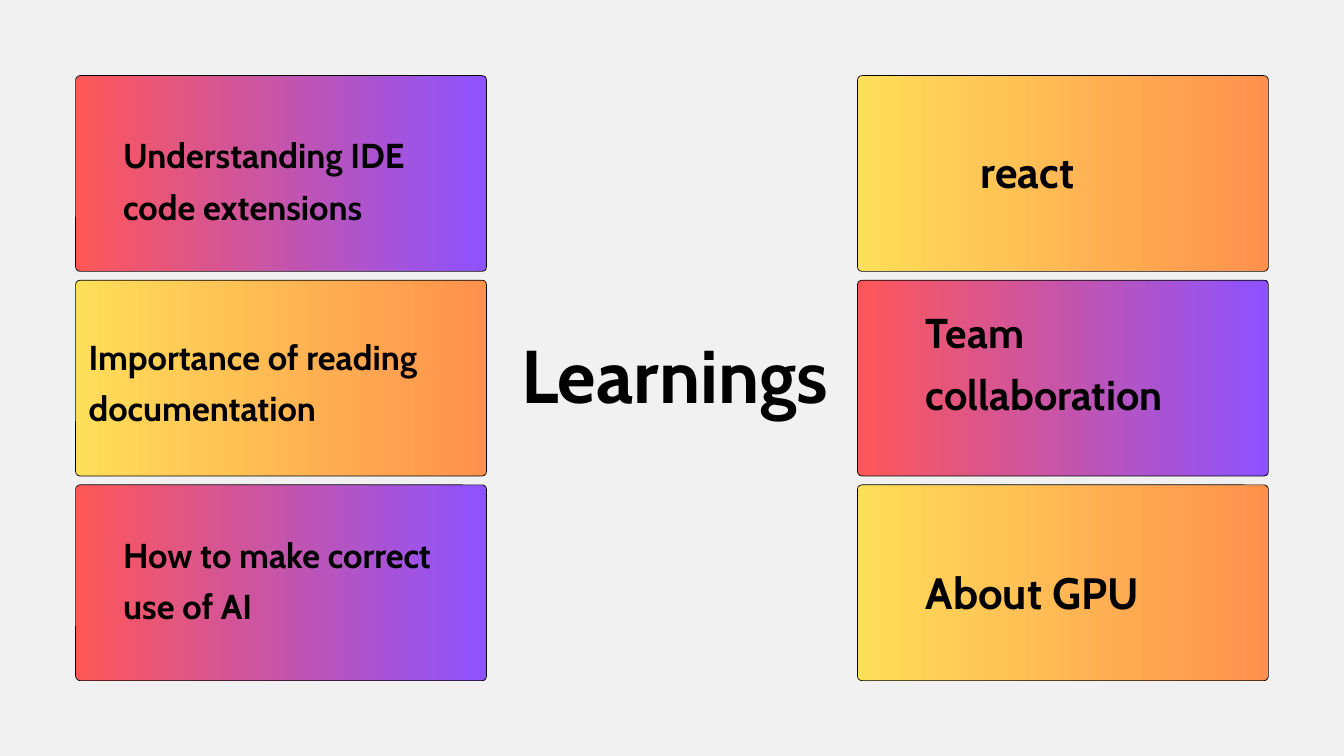
from dataclasses import dataclass

from pptx import Presentation
from pptx.dml.color import RGBColor
from pptx.enum.shapes import MSO_SHAPE as Preset
from pptx.enum.text import MSO_AUTO_SIZE as AutoSize, PP_ALIGN as Align
from pptx.slide import Slide
from pptx.util import Pt

FONT = "Cabin"
BLACK = "000000"
BACKGROUND = "F1F1F1"
WARM = ("FFDE59", "FF914D")
VIVID = ("FF5757", "8C52FF")

SLIDE_WIDTH, SLIDE_HEIGHT = 1440, 810
MARGIN = 81
CARD_WIDTH, CARD_HEIGHT = 440.25, 209.75
ROW_PITCH = 219.25
CORNER_RADIUS = 4.75
LEFT_COLUMN = MARGIN
RIGHT_COLUMN = SLIDE_WIDTH - MARGIN - CARD_WIDTH


@dataclass(frozen=True)
class Label:
    text: str
    left: float
    top: float
    width: float
    height: float
    size: float
    line_spacing: float
    align: Align = Align.LEFT


@dataclass(frozen=True)
class Card:
    column: float
    row: int
    gradient: tuple[str, str]
    label: Label


CARDS = [
    Card(RIGHT_COLUMN, 0, WARM,
         Label("react", 1051, 141, 281, 65.5, 46.8, 69.8)),
    Card(RIGHT_COLUMN, 1, VIVID,
         Label("Team collaboration", 992, 316, 340.5, 129, 44.6, 66.5)),
    Card(RIGHT_COLUMN, 2, WARM,
         Label("About GPU", 992, 592, 258, 67, 47, 70)),
    Card(LEFT_COLUMN, 0, VIVID,
         Label("Understanding IDE code extensions", 132, 133, 338.5, 107.5, 37, 55.1)),
    Card(LEFT_COLUMN, 1, WARM,
         Label("Importance of reading documentation", 95, 349, 399, 107.5, 37, 55.1)),
    Card(LEFT_COLUMN, 2, VIVID,
         Label("How to make correct use of AI", 132, 561.5, 362, 107.5, 37, 55.1)),
]
TITLE = Label("Learnings", 524, 371, 398, 82, 80, 77.6, Align.CENTER)


def color(value: str) -> RGBColor:
    return RGBColor.from_string(value)


def draw_panel(slide: Slide, card: Card) -> None:
    shape = slide.shapes.add_shape(
        Preset.ROUNDED_RECTANGLE, Pt(card.column), Pt(MARGIN + card.row * ROW_PITCH),
        Pt(CARD_WIDTH), Pt(CARD_HEIGHT))
    shape.adjustments[0] = CORNER_RADIUS / CARD_HEIGHT
    shape.shadow.inherit = False
    shape.fill.gradient()
    shape.fill.gradient_angle = 0
    for stop, position, value in zip(shape.fill.gradient_stops, (0, 1), card.gradient):
        stop.position = position
        stop.color.rgb = color(value)
    shape.line.color.rgb = color(BLACK)
    shape.line.width = Pt(0.75)


def draw_label(slide: Slide, label: Label) -> None:
    box = slide.shapes.add_textbox(
        Pt(label.left), Pt(label.top), Pt(label.width), Pt(label.height))
    frame = box.text_frame
    frame.margin_left = frame.margin_top = frame.margin_right = frame.margin_bottom = 0
    frame.word_wrap = True
    frame.auto_size = AutoSize.SHAPE_TO_FIT_TEXT
    paragraph = frame.paragraphs[0]
    paragraph.text = label.text
    paragraph.alignment = label.align
    paragraph.line_spacing = Pt(label.line_spacing)
    paragraph.font.name = FONT
    paragraph.font.size = Pt(label.size)
    paragraph.font.bold = True
    paragraph.font.color.rgb = color(BLACK)


def main() -> None:
    presentation = Presentation()
    presentation.slide_width = Pt(SLIDE_WIDTH)
    presentation.slide_height = Pt(SLIDE_HEIGHT)
    slide = presentation.slides.add_slide(presentation.slide_layouts[6])
    slide.background.fill.solid()
    slide.background.fill.fore_color.rgb = color(BACKGROUND)

    for card in CARDS:
        draw_panel(slide, card)
        draw_label(slide, card.label)
    draw_label(slide, TITLE)
    presentation.save("out.pptx")


if __name__ == "__main__":
    main()
